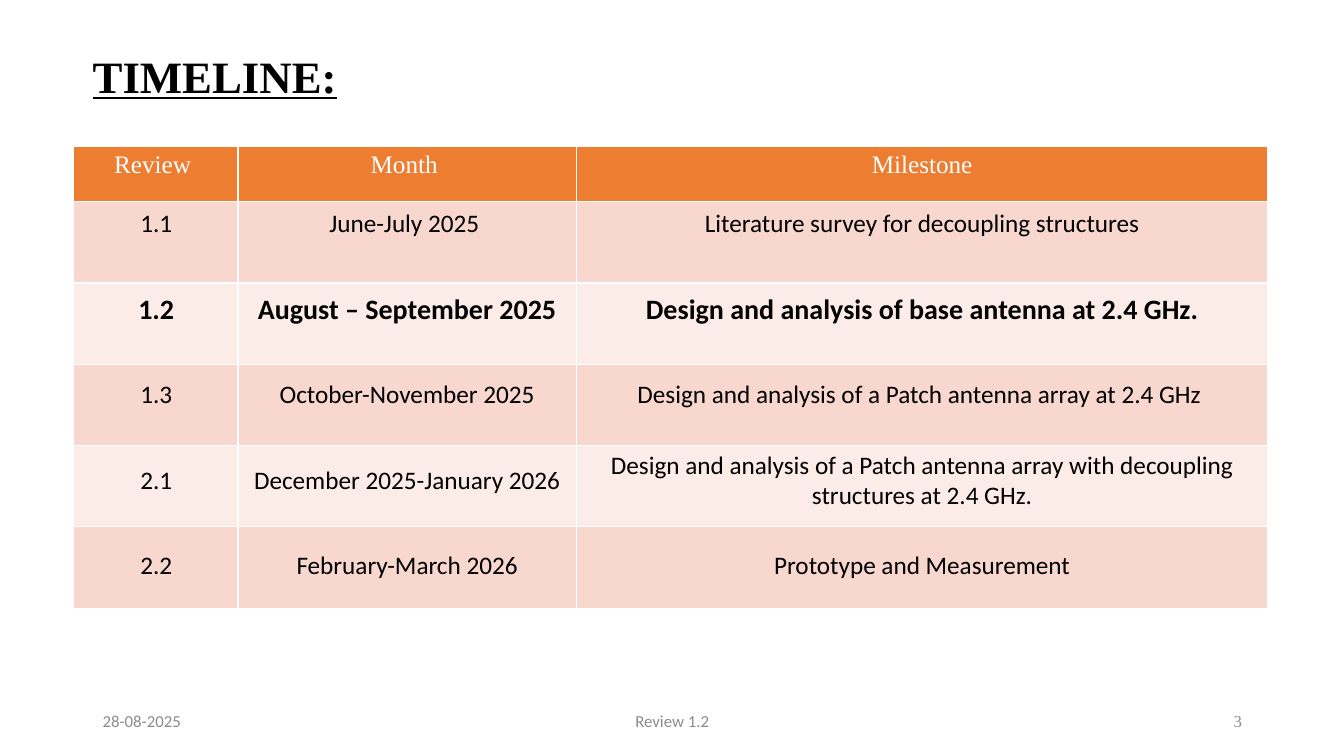
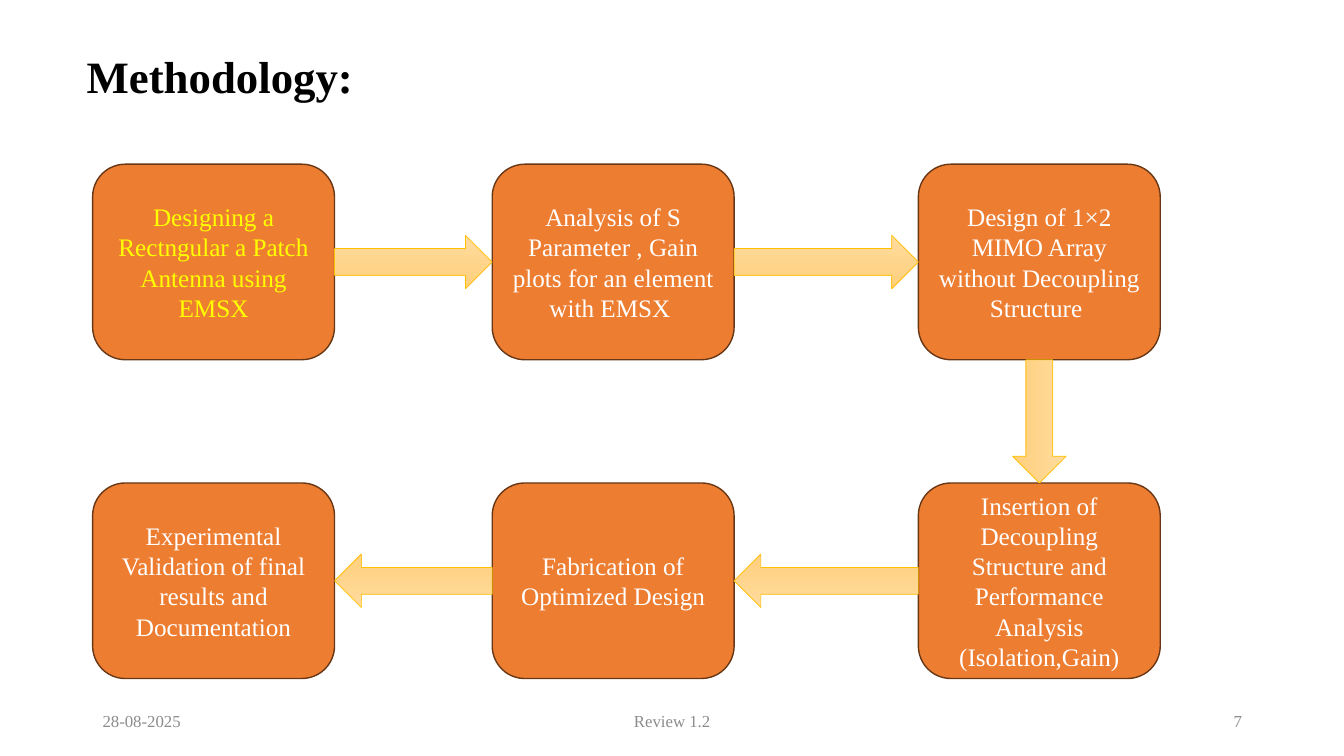
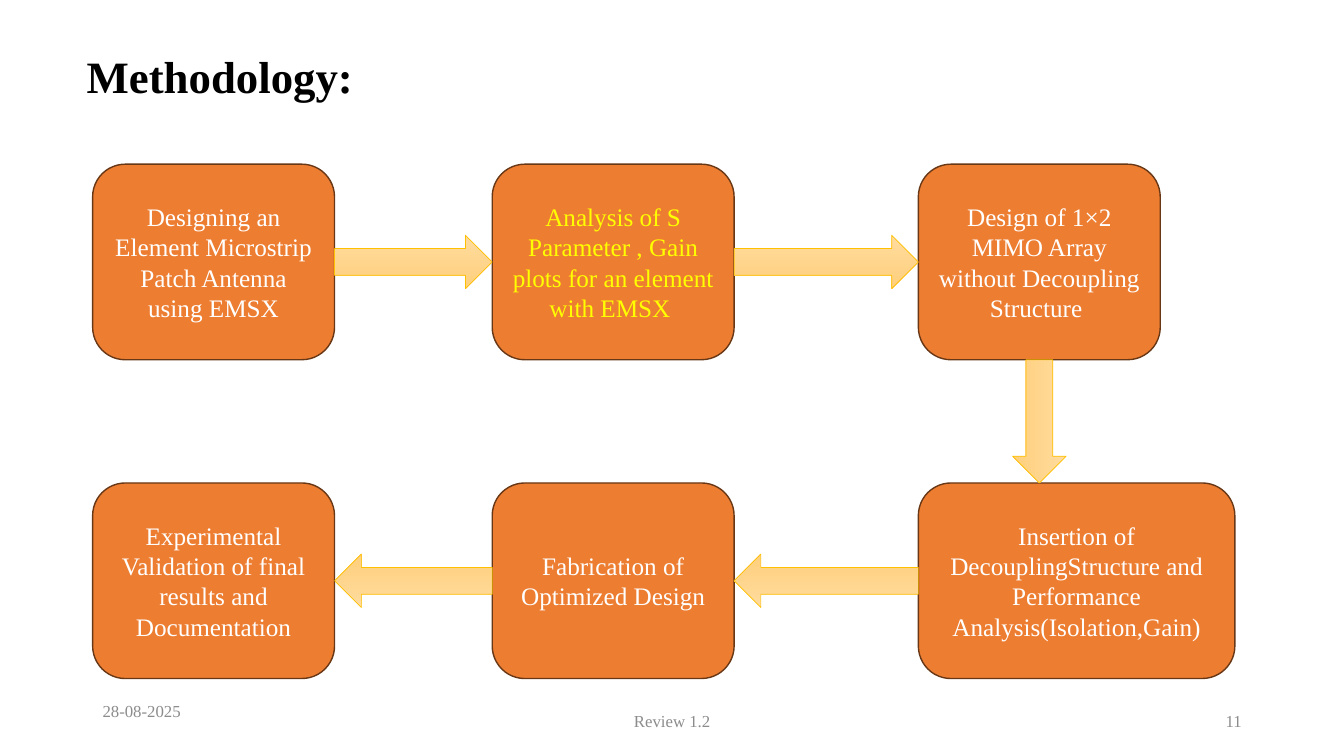
from dataclasses import dataclass

import lxml.etree
import pptx
import pptx.dml.color
import pptx.enum.shapes
import pptx.enum.text
import pptx.oxml.ns
import pptx.util

Pt = pptx.util.Pt
ALIGN = pptx.enum.text.PP_ALIGN
ANCHOR = pptx.enum.text.MSO_ANCHOR
SHAPE = pptx.enum.shapes.MSO_SHAPE

# Shared style
SERIF, SANS = "Times New Roman", "Calibri"
BLACK, WHITE, GREY = "000000", "FFFFFF", "8C8C8C"
ORANGE, BROWN, YELLOW, GOLD = "ED7D31", "683715", "FFFF00", "FFC000"
ARROW_GRADIENT = ("FFDB9E", "FFD07C")
BANDS = ("F8D7CE", "FCECE8")
DATE, REVIEW = "28-08-2025", "Review 1.2"
FOOTER_TOP, FOOTER_HEIGHT = 500.4, 28.8

# Timeline tables
HEADINGS = ("Review ", "Month ", "Milestone")
HEADER_HEIGHT, BAND_HEIGHT, MILESTONE_HEIGHT = 39.6, 58.1, 61.1

# Flow diagram grid
BOX_LEFTS = (66.2, 351.6, 656)
BOX_TOPS = (117.3, 345)
BOX_WIDTH, BOX_HEIGHT = 172.8, 139.7
WIDE_BOX = 226.1
ARROW_THICKNESS = 38.2


@dataclass
class TextStyle:
    size: float
    color: str
    font: str = SERIF
    bold: bool = False
    underline: bool = False
    align: ALIGN = ALIGN.CENTER


@dataclass
class Footer:
    number: str
    font: str = SERIF
    date_rise: float = 0


@dataclass
class Milestone:
    review: str
    month: str
    goal: str
    current: bool = False


@dataclass
class Step:
    text: str
    column: int
    row: int
    color: str = WHITE
    width: float = BOX_WIDTH


TITLE = TextStyle(32, BLACK, bold=True, align=ALIGN.LEFT)
UNDERLINED_TITLE = TextStyle(32, BLACK, bold=True, underline=True, align=ALIGN.LEFT)

MILESTONES = (
    Milestone("1.1", "June-July 2025 ", "Literature survey for decoupling structures"),
    Milestone("1.2", "August – September 2025",
              "Design and analysis of base antenna at 2.4 GHz.", current=True),
    Milestone("1.3", "October-November 2025",
              "Design and analysis of a Patch antenna array at 2.4 GHz "),
    Milestone("2.1", "December 2025-January 2026",
              "Design and analysis of a Patch antenna array with decoupling structures at 2.4 GHz."),
    Milestone("2.2", "February-March 2026", "Prototype and Measurement"),
)

ANALYSIS = "Analysis of S Parameter , Gain plots for an element with EMSX "
COMMON_STEPS = (
    Step("Design of 1×2 MIMO Array without Decoupling Structure ", 2, 0),
    Step("Fabrication of Optimized Design", 1, 1),
    Step("Experimental Validation of final results and Documentation", 0, 1),
)
DESIGN_STEPS = (
    Step("Designing a Rectngular a Patch Antenna using EMSX", 0, 0, YELLOW),
    Step(ANALYSIS, 1, 0),
    Step("Insertion of Decoupling Structure and Performance Analysis (Isolation,Gain)", 2, 1),
)
ANALYSIS_STEPS = (
    Step("Designing an Element Microstrip Patch Antenna using EMSX", 0, 0),
    Step(ANALYSIS, 1, 0, YELLOW),
    Step("Insertion of DecouplingStructure and\nPerformance\nAnalysis(Isolation,Gain)",
         2, 1, width=WIDE_BOX),
)


def rgb(color: str) -> pptx.dml.color.RGBColor:
    return pptx.dml.color.RGBColor.from_string(color)


def write(text_frame, text: str, style: TextStyle) -> None:
    text_frame.text = text
    for paragraph in text_frame.paragraphs:
        paragraph.alignment = style.align
        for run in paragraph.runs:
            run.font.name = style.font
            run.font.size = Pt(style.size)
            run.font.bold = style.bold
            run.font.underline = style.underline
            run.font.color.rgb = rgb(style.color)


def add_slide(presentation, title: str, left: float, style: TextStyle, footer: Footer):
    """Add a slide with its title and the three footer texts."""
    slide = presentation.slides.add_slide(presentation.slide_layouts[5])
    shape = slide.shapes.title
    shape.left, shape.top, shape.width, shape.height = Pt(left), Pt(35.3), Pt(828), Pt(50)
    write(shape.text_frame, title, style)
    shape.text_frame.auto_size = pptx.enum.text.MSO_AUTO_SIZE.NONE
    shape.text_frame.vertical_anchor = ANCHOR.TOP
    shape.text_frame.paragraphs[0].line_spacing = 0.9

    footer_parts = (
        (DATE, 66.2, 216, FOOTER_TOP - footer.date_rise, footer.font, ALIGN.LEFT),
        (REVIEW, 318.2, 324, FOOTER_TOP, footer.font, ALIGN.CENTER),
        (footer.number, 678.2, 216, FOOTER_TOP, SERIF, ALIGN.RIGHT),
    )
    for text, part_left, width, top, font, align in footer_parts:
        box = slide.shapes.add_textbox(Pt(part_left), Pt(top), Pt(width), Pt(FOOTER_HEIGHT))
        box.text_frame.word_wrap = True
        box.text_frame.vertical_anchor = ANCHOR.MIDDLE
        write(box.text_frame, text, TextStyle(12, GREY, font, align=align))
    return slide


def add_table(slide, left: float, top: float, widths: tuple[float, ...],
              heights: list[float]):
    """Add a table with the given columns and rows, free of style options."""
    table = slide.shapes.add_table(
        len(heights), len(widths), Pt(left), Pt(top), Pt(sum(widths)), Pt(sum(heights))).table
    table.first_row = table.horz_banding = False
    for column, width in zip(table.columns, widths):
        column.width = Pt(width)
    for row, height in zip(table.rows, heights):
        row.height = Pt(height)
    return table


def style_cell(cell, fill: str | None) -> None:
    """Fill a cell and rule it in white, or leave it clear without borders."""
    properties = cell._tc.get_or_add_tcPr()
    for side in "LRTB":
        line = lxml.etree.SubElement(
            properties, pptx.oxml.ns.qn(f"a:ln{side}"), w=str(Pt(1)))
        if fill is None:
            lxml.etree.SubElement(line, pptx.oxml.ns.qn("a:noFill"))
        else:
            solid = lxml.etree.SubElement(line, pptx.oxml.ns.qn("a:solidFill"))
            lxml.etree.SubElement(solid, pptx.oxml.ns.qn("a:srgbClr"), val=WHITE)
    if fill is None:
        cell.fill.background()
    else:
        cell.fill.solid()
        cell.fill.fore_color.rgb = rgb(fill)


def add_timeline(slide) -> None:
    # Coloured grid with the header
    band_heights = [HEADER_HEIGHT] + [BAND_HEIGHT] * len(MILESTONES)
    grid = add_table(slide, 52.6, 104.4, (117.4, 241.9, 493.6), band_heights)
    for row in range(len(band_heights)):
        for column, heading in enumerate(HEADINGS):
            cell = grid.cell(row, column)
            style_cell(cell, BANDS[(row - 1) % 2] if row else ORANGE)
            if row == 0:
                write(cell.text_frame, heading, TextStyle(18, WHITE))

    # Clear table with the milestones
    schedule = add_table(slide, 53.3, 129.6, (116.6, 241.9, 493.9),
                         [MILESTONE_HEIGHT] * len(MILESTONES))
    for row, milestone in enumerate(MILESTONES):
        style = TextStyle(20 if milestone.current else 18, BLACK, SANS, milestone.current)
        for column, text in enumerate((milestone.review, milestone.month, milestone.goal)):
            cell = schedule.cell(row, column)
            style_cell(cell, None)
            cell.margin_left = cell.margin_right = cell.margin_top = cell.margin_bottom = 0
            cell.vertical_anchor = ANCHOR.MIDDLE
            write(cell.text_frame, text, style)


def add_step(slide, step: Step) -> None:
    shape = slide.shapes.add_shape(
        SHAPE.ROUNDED_RECTANGLE, Pt(BOX_LEFTS[step.column]), Pt(BOX_TOPS[step.row]),
        Pt(step.width), Pt(BOX_HEIGHT))
    shape.shadow.inherit = False
    shape.fill.solid()
    shape.fill.fore_color.rgb = rgb(ORANGE)
    shape.line.color.rgb = rgb(BROWN)
    shape.line.width = Pt(1)
    shape.text_frame.word_wrap = True
    shape.text_frame.vertical_anchor = ANCHOR.MIDDLE
    write(shape.text_frame, step.text, TextStyle(18, step.color))


def add_arrow(slide, center_x: float, center_y: float, length: float, rotation: float) -> None:
    shape = slide.shapes.add_shape(
        SHAPE.RIGHT_ARROW, Pt(center_x - length / 2), Pt(center_y - ARROW_THICKNESS / 2),
        Pt(length), Pt(ARROW_THICKNESS))
    shape.rotation = rotation
    shape.shadow.inherit = False
    shape.fill.gradient()
    shape.fill.gradient_angle = 270
    for stop, color in zip(shape.fill.gradient_stops, ARROW_GRADIENT):
        stop.color.rgb = rgb(color)
    shape.line.color.rgb = rgb(GOLD)
    shape.line.width = Pt(0.5)


def add_flow(slide, steps: tuple[Step, ...]) -> None:
    for step in steps:
        add_step(slide, step)

    # Rightward arrows in the upper row, leftward ones in the lower row
    for top, rotation in zip(BOX_TOPS, (0, 180)):
        for left, next_left in zip(BOX_LEFTS, BOX_LEFTS[1:]):
            start = left + BOX_WIDTH
            add_arrow(slide, (start + next_left) / 2, top + BOX_HEIGHT / 2,
                      next_left - start, rotation)

    # Downward arrow between the rows
    upper_edge = BOX_TOPS[0] + BOX_HEIGHT
    add_arrow(slide, BOX_LEFTS[-1] + BOX_WIDTH / 2, (upper_edge + BOX_TOPS[1]) / 2,
              BOX_TOPS[1] - upper_edge, 90)


def main() -> None:
    presentation = pptx.Presentation()
    presentation.slide_width, presentation.slide_height = Pt(960), Pt(540)

    timeline = add_slide(presentation, "TIMELINE:", 59, UNDERLINED_TITLE, Footer("3", SANS))
    add_timeline(timeline)

    for steps, footer in (
        (DESIGN_STEPS, Footer("7")),
        (ANALYSIS_STEPS, Footer("11", date_rise=7.2)),
    ):
        methodology = add_slide(presentation, "Methodology:", 54.7, TITLE, footer)
        add_flow(methodology, steps + COMMON_STEPS)

    presentation.save("out.pptx")


if __name__ == "__main__":
    main()
